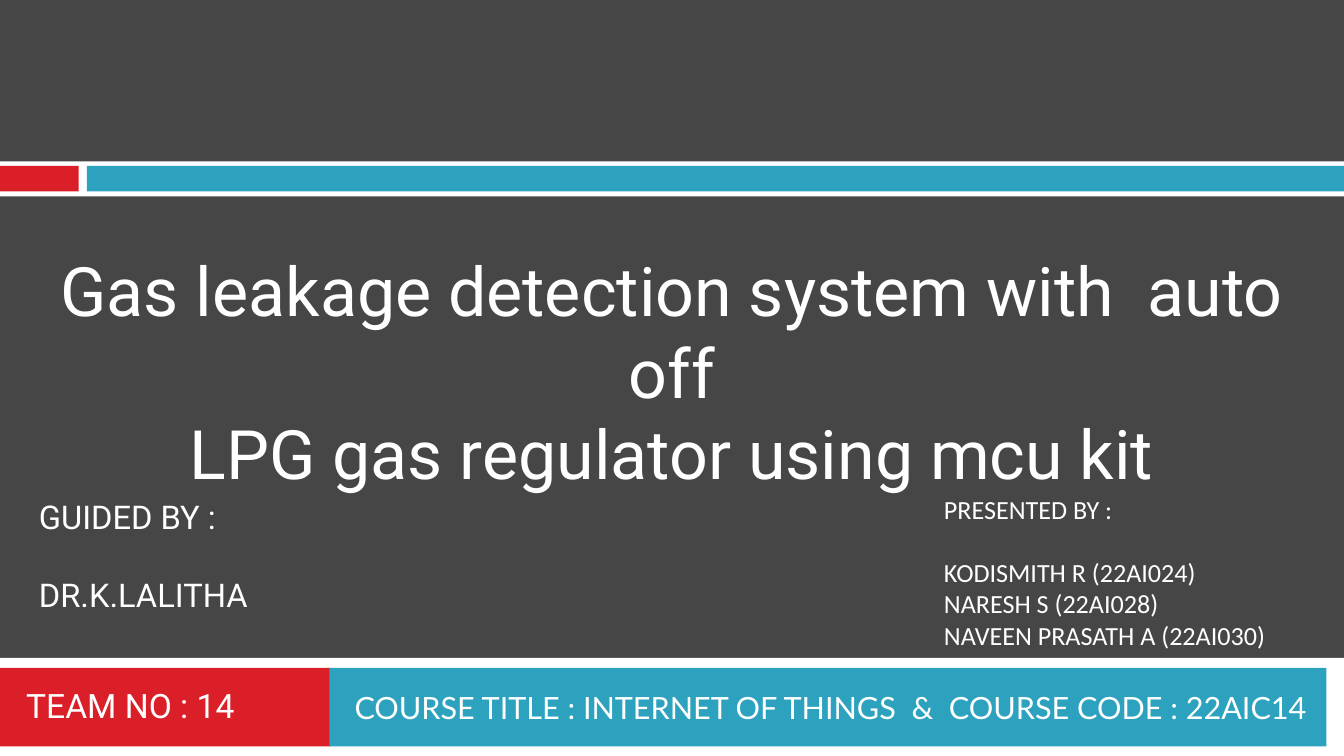
from pptx import Presentation
from pptx.dml.color import RGBColor
from pptx.enum.shapes import MSO_SHAPE as Preset
from pptx.enum.text import MSO_ANCHOR as Anchor, PP_ALIGN as Align
from pptx.util import Cm, Pt

COLORS = {"background": "464646", "white": "FFFFFF", "red": "DA1F28", "teal": "2DA2BF"}
WIDTH, HEIGHT = 50.8, 28.58

# Colour, left, top, width, height
BARS = [
    ("white", 0, 6.1, WIDTH, 1.33),
    ("red", 0, 6.27, 2.97, 0.97),
    ("teal", 3.28, 6.27, WIDTH - 3.28, 0.97),
    ("white", 0, 24.87, WIDTH, HEIGHT - 24.87),
    ("red", 0, 25.25, 12.5, 2.97),
    ("teal", 12.45, 25.25, 37.69, 2.97),
]

# "after" is the space in points below the first line, "margins" are left/right and top/bottom
TEXTS = [
    {"lines": ["GUIDED BY :", "DR.K.LALITHA"],
     "box": (1.47, 18.77, 14.48, 5.99), "font": "Roboto", "size": 35,
     "spacing": Pt(42), "after": 42},
    {"lines": ["TEAM NO : 14"],
     "box": (0.99, 25.88, 10.52, 1.57), "font": "Roboto", "size": 36,
     "spacing": Pt(43.2)},
    {"lines": ["Gas leakage detection system with  auto off",
               "LPG gas regulator using mcu kit"],
     "box": (0.51, 9.4, 49.76, 6.25), "font": "Roboto", "size": 73,
     "spacing": Pt(87.5), "align": Align.CENTER},
    {"lines": ["COURSE TITLE : INTERNET OF THINGS  &  COURSE CODE : 22AIC14"],
     "box": (12.65, 25.81, 37.49, 1.55), "font": "Lato", "size": 32.8,
     "spacing": Pt(46), "align": Align.CENTER},
    {"lines": ["PRESENTED BY :", "KODISMITH R (22AI024)", "NARESH S (22AI028)",
               "NAVEEN PRASATH A (22AI030)"],
     "box": (35.43, 18.52, 13.89, 6.25), "font": "Calibri", "size": 28,
     "spacing": 1.0, "after": 34, "margins": (0.25, 0.13)},
]


def color(name):
    return RGBColor.from_string(COLORS[name])


def add_bar(slide, fill, *box):
    shape = slide.shapes.add_shape(Preset.RECTANGLE, *map(Cm, box))
    shape.shadow.inherit = False
    shape.fill.solid()
    shape.fill.fore_color.rgb = color(fill)
    shape.line.fill.background()


def add_text(slide, lines, box, font, size, spacing,
             align=Align.LEFT, after=0, margins=(0, 0)):
    text_frame = slide.shapes.add_textbox(*map(Cm, box)).text_frame
    text_frame.word_wrap = True
    text_frame.vertical_anchor = Anchor.TOP
    side, edge = map(Cm, margins)
    text_frame.margin_left = text_frame.margin_right = side
    text_frame.margin_top = text_frame.margin_bottom = edge
    text_frame.text = "\n".join(lines)
    for paragraph in text_frame.paragraphs:
        paragraph.alignment = align
        paragraph.line_spacing = spacing
        for run in paragraph.runs:
            run.font.name = font
            run.font.size = Pt(size)
            run.font.color.rgb = color("white")
    text_frame.paragraphs[0].space_after = Pt(after)


def main():
    presentation = Presentation()
    presentation.slide_width, presentation.slide_height = Cm(WIDTH), Cm(HEIGHT)
    slide = presentation.slides.add_slide(presentation.slide_layouts[6])
    slide.background.fill.solid()
    slide.background.fill.fore_color.rgb = color("background")
    for bar in BARS:
        add_bar(slide, *bar)
    for text in TEXTS:
        add_text(slide, **text)
    presentation.save("out.pptx")


if __name__ == "__main__":
    main()
